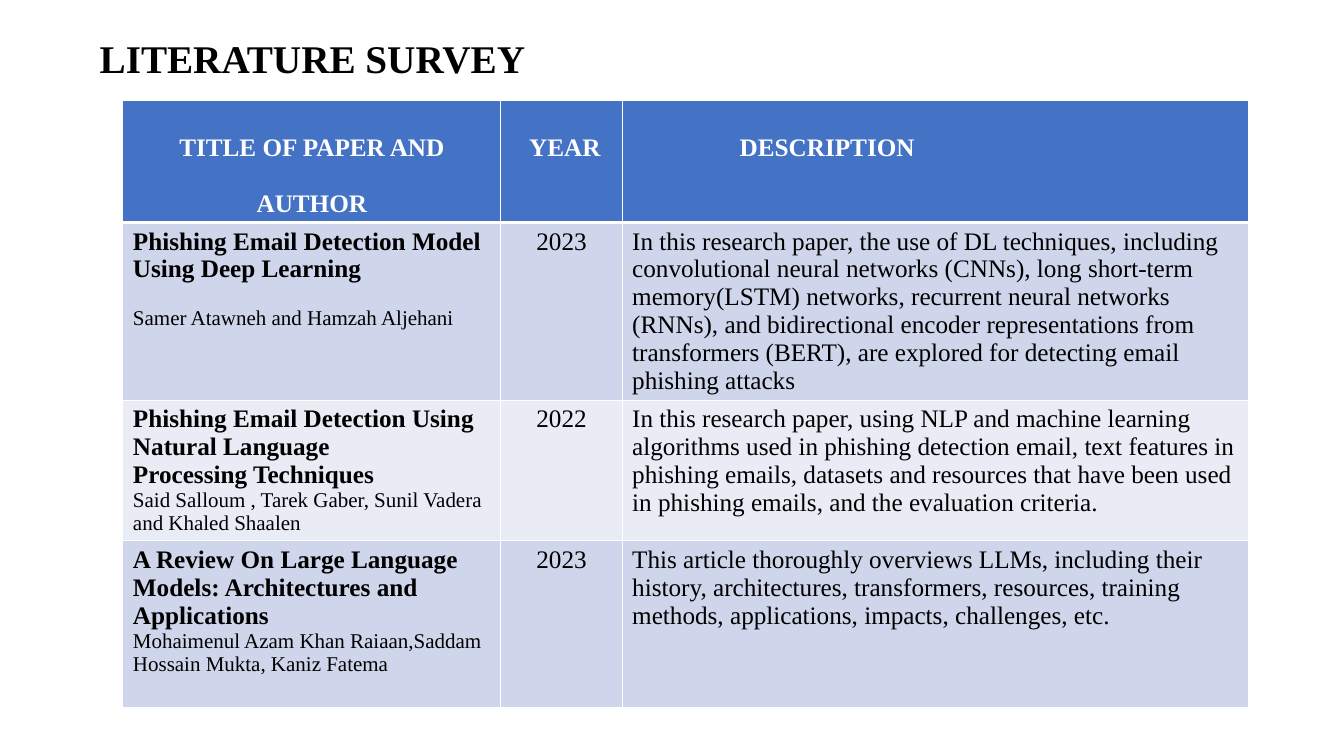
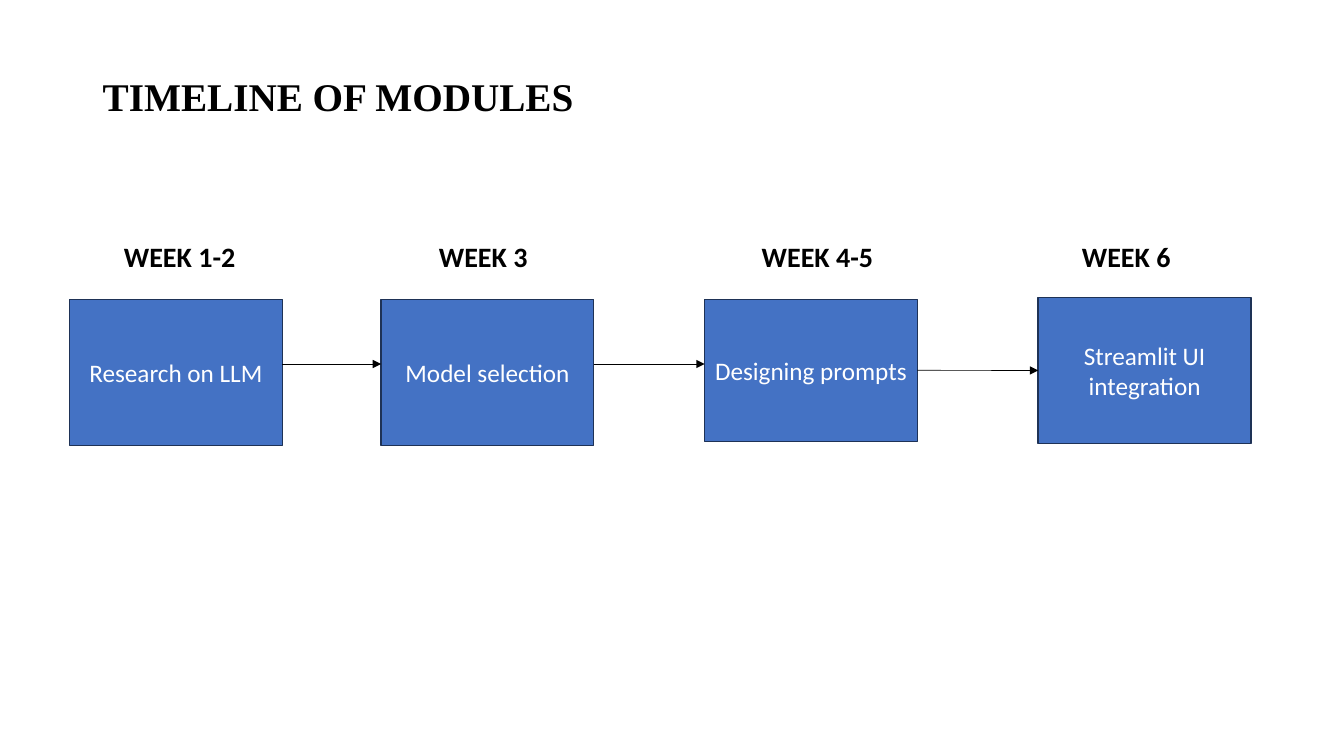
"""Build the literature survey and module timeline slides."""
from dataclasses import dataclass
from typing import NamedTuple, Optional

from lxml.etree import SubElement
from pptx import Presentation
from pptx.dml.color import RGBColor
from pptx.enum.shapes import MSO_CONNECTOR as Connector, MSO_SHAPE as Shape
from pptx.enum.text import MSO_ANCHOR as Anchor, MSO_AUTO_SIZE as AutoSize, PP_ALIGN as Align
from pptx.oxml.ns import qn
from pptx.util import Pt

BLACK = RGBColor(0x00, 0x00, 0x00)
WHITE = RGBColor(0xFF, 0xFF, 0xFF)
BLUE = RGBColor(0x44, 0x72, 0xC4)
NAVY = RGBColor(0x1E, 0x32, 0x56)
BAND_DARK = RGBColor(0xCF, 0xD5, 0xEA)
BAND_LIGHT = RGBColor(0xE9, 0xEB, 0xF5)
SERIF = "Times New Roman"
SANS = "Calibri"
INSET = 7.2


class Style(NamedTuple):
    font: str
    size: float
    color: RGBColor
    bold: bool = False


TITLE = Style(SERIF, 28, BLACK, True)
HEADER = Style(SERIF, 18, WHITE, True)
PAPER = Style(SERIF, 18, BLACK, True)
BODY = Style(SERIF, 18, BLACK)
AUTHOR = Style(SERIF, 15, BLACK)
STEP = Style(SANS, 18, WHITE)
WEEK = Style(SANS, 20, BLACK, True)


@dataclass
class Para:
    text: str
    style: Style
    align: Align = Align.LEFT
    spacing: float = 1.0
    before: float = 0


@dataclass
class Paper:
    title: list[str]
    authors: str
    year: str
    description: list[str]
    author_gap: float = 0


@dataclass
class Step:
    week: str
    week_left: float
    task: str
    left: float
    top: float
    height: float


class Link(NamedTuple):
    start: int
    end: int
    y: Optional[float] = None


class Heading(NamedTuple):
    text: str
    align: Align
    indent: float
    width: float


HEADINGS = [
    Heading("TITLE OF PAPER AND AUTHOR", Align.CENTER, 0, 270),
    Heading("YEAR", Align.LEFT, 13, 86.6),
    Heading("DESCRIPTION", Align.LEFT, 76.8, 447.2),
]
ROW_HEIGHTS = [86.4, 127, 100.4, 119.2]
PAPERS = [
    Paper(["Phishing Email Detection Model Using Deep Learning"],
          "Samer Atawneh and Hamzah Aljehani", "2023",
          ["In this research paper, the use of DL techniques, including convolutional neural "
           "networks (CNNs), long short-term memory(LSTM) networks, recurrent neural networks "
           "(RNNs), and bidirectional encoder representations from transformers (BERT), are "
           "explored for detecting email phishing attacks"], author_gap=17),
    Paper(["Phishing Email Detection Using Natural Language", "Processing Techniques"],
          "Said Salloum , Tarek Gaber, Sunil Vadera and Khaled Shaalen", "2022",
          ["In this research paper, using NLP and machine learning algorithms used in phishing "
           "detection email, text features in",
           "phishing emails, datasets and resources that have been used in phishing emails, and "
           "the evaluation criteria."]),
    Paper(["A Review On Large Language Models: Architectures and Applications"],
          "Mohaimenul Azam Khan Raiaan,Saddam Hossain Mukta, Kaniz Fatema", "2023",
          ["This article thoroughly overviews LLMs, including their history, architectures, "
           "transformers, resources, training methods, applications, impacts, challenges, etc."]),
]
STEP_WIDTH = 152
STEPS = [
    Step("WEEK 1-2", 81.4, "Research on LLM", 49.7, 213.8, 104.4),
    Step("WEEK 3", 306.4, "Model selection", 272.2, 213.8, 104.4),
    Step("WEEK 4-5", 537, "Designing prompts", 503.3, 213.8, 101.5),
    Step("WEEK 6", 765.7, "Streamlit UI integration", 741.6, 212.4, 104.4),
]
LINKS = [Link(0, 1, 260), Link(1, 2, 260), Link(2, 3)]


def write(tf, paras: list[Para]) -> None:
    """Fill a text frame with styled paragraphs."""
    for i, para in enumerate(paras):
        p = tf.add_paragraph() if i else tf.paragraphs[0]
        p.alignment = para.align
        p.line_spacing = para.spacing
        p.space_before = Pt(para.before)
        r = p.add_run()
        r.text = para.text
        r.font.name = para.style.font
        r.font.size = Pt(para.style.size)
        r.font.bold = para.style.bold
        r.font.color.rgb = para.style.color


def add_slide(prs, title: str, left: float, top: float, lift: float = 0):
    """Add a slide with its title, raised by half of lift."""
    s = prs.slides.add_slide(prs.slide_layouts[5])
    sp = s.shapes.title
    sp.left, sp.top, sp.width, sp.height = Pt(left), Pt(top), Pt(828), Pt(104.4)
    tf = sp.text_frame
    tf.auto_size = AutoSize.NONE
    tf.vertical_anchor = Anchor.MIDDLE
    tf.margin_bottom = Pt(3.6 + lift)
    write(tf, [Para(title, TITLE, spacing=0.9)])
    return s


def set_borders(cell, bottom: float = 1, top: float = 1) -> None:
    """Draw white lines on the four sides of a cell."""
    tc_pr = cell._tc.get_or_add_tcPr()
    widths = {"lnL": 1, "lnR": 1, "lnT": top, "lnB": bottom}
    for i, (side, width) in enumerate(widths.items()):
        ln = tc_pr.makeelement(qn(f"a:{side}"), {"w": str(Pt(width))})
        fill = SubElement(ln, qn("a:solidFill"))
        SubElement(fill, qn("a:srgbClr"), val=str(WHITE))
        tc_pr.insert(i, ln)


def fill_cell(cell, paras: list[Para], color: RGBColor, indent: float = 0) -> None:
    """Write a cell and colour its background."""
    cell.fill.solid()
    cell.fill.fore_color.rgb = color
    cell.margin_left = Pt(INSET + indent)
    write(cell.text_frame, paras)


def add_survey(s) -> None:
    """Add the table of surveyed papers."""
    width = sum(h.width for h in HEADINGS)
    table = s.shapes.add_table(len(ROW_HEIGHTS), len(HEADINGS), Pt(87.8), Pt(72),
                               Pt(width), Pt(sum(ROW_HEIGHTS))).table
    for row, height in zip(table.rows, ROW_HEIGHTS):
        row.height = Pt(height)
    for col, h in enumerate(HEADINGS):
        table.columns[col].width = Pt(h.width)
        fill_cell(table.cell(0, col), [Para(h.text, HEADER, h.align, 2.0)], BLUE, h.indent)
    for row, paper in enumerate(PAPERS, 1):
        columns = [
            [Para(t, PAPER) for t in paper.title]
            + [Para(paper.authors, AUTHOR, before=paper.author_gap)],
            [Para(paper.year, BODY, Align.CENTER)],
            [Para(t, BODY) for t in paper.description],
        ]
        for col, paras in enumerate(columns):
            fill_cell(table.cell(row, col), paras, BAND_DARK if row % 2 else BAND_LIGHT)
    for row in range(len(ROW_HEIGHTS)):
        for col in range(len(HEADINGS)):
            set_borders(table.cell(row, col), 3 if row == 0 else 1, 3 if row == 1 else 1)


def add_step(s, step: Step):
    """Add a week label and its task box, and return the box."""
    label = s.shapes.add_textbox(Pt(step.week_left), Pt(167.8), Pt(120), Pt(31.7))
    label.text_frame.word_wrap = True
    write(label.text_frame, [Para(step.week, WEEK)])
    sp = s.shapes.add_shape(Shape.RECTANGLE, Pt(step.left), Pt(step.top),
                            Pt(STEP_WIDTH), Pt(step.height))
    sp.shadow.inherit = False
    sp.fill.solid()
    sp.fill.fore_color.rgb = BLUE
    sp.line.color.rgb = NAVY
    sp.line.width = Pt(1)
    sp.text_frame.word_wrap = True
    sp.text_frame.vertical_anchor = Anchor.MIDDLE
    write(sp.text_frame, [Para(step.task, STEP, Align.CENTER)])
    return sp


def add_arrow(s, start, end, y: Optional[float]) -> None:
    """Add an arrow at height y, or joined to the middle of both boxes."""
    level = Pt(y or 0)
    line = s.shapes.add_connector(Connector.STRAIGHT, start.left + start.width, level,
                                  end.left, level)
    if y is None:
        line.begin_connect(start, 3)
        line.end_connect(end, 1)
    line.line.color.rgb = BLACK
    line.line.width = Pt(0.5)
    SubElement(line.line._get_or_add_ln(), qn("a:tailEnd"), type="triangle")
    SubElement(line._element.spPr, qn("a:effectLst"))


def main() -> None:
    """Build and save the presentation."""
    prs = Presentation()
    prs.slide_width, prs.slide_height = Pt(960), Pt(540)
    add_survey(add_slide(prs, "LITERATURE SURVEY", 64, -8.6))
    s = add_slide(prs, "TIMELINE OF MODULES", 66.2, 36, lift=35)
    boxes = [add_step(s, step) for step in STEPS]
    for link in LINKS:
        add_arrow(s, boxes[link.start], boxes[link.end], link.y)
    prs.save("out.pptx")


if __name__ == "__main__":
    main()
